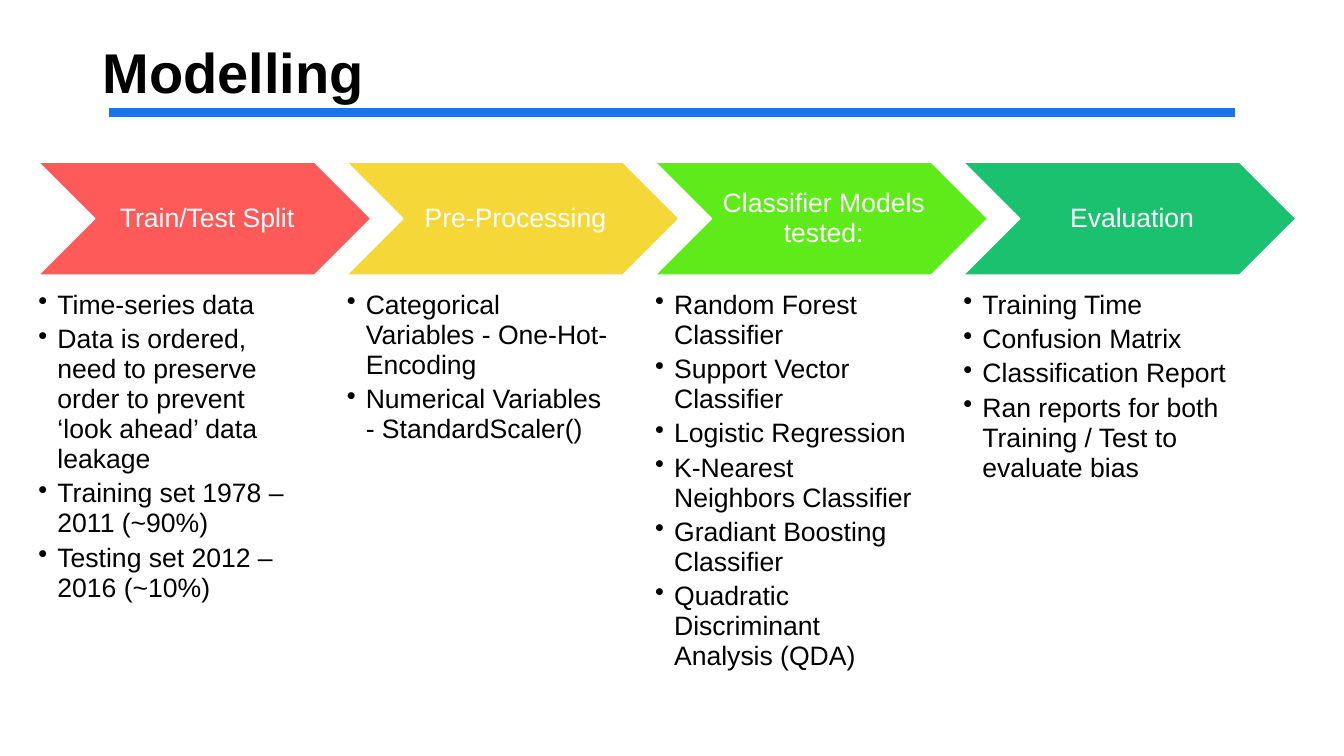
from pptx import Presentation
from pptx.dml.color import RGBColor
from pptx.enum import shapes, text
from pptx.oxml import parse_xml
from pptx.oxml.ns import nsdecls
from pptx.util import Cm, Pt

# Content
TITLE = "Modelling"
STEPS = [
    ("Train/Test Split", "red", [
        "Time-series data",
        "Data is ordered, need to preserve order to prevent ‘look ahead’ data leakage",
        "Training set 1978 – 2011 (~90%)",
        "Testing set 2012 – 2016 (~10%)",
    ]),
    ("Pre-Processing", "yellow", [
        "Categorical Variables - One-Hot-Encoding",
        "Numerical Variables - StandardScaler()",
    ]),
    ("Classifier Models tested:", "lime", [
        "Random Forest Classifier",
        "Support Vector Classifier",
        "Logistic Regression",
        "K-Nearest Neighbors Classifier",
        "Gradiant Boosting Classifier",
        "Quadratic Discriminant Analysis (QDA)",
    ]),
    ("Evaluation", "green", [
        "Training Time",
        "Confusion Matrix",
        "Classification Report",
        "Ran reports for both Training / Test to evaluate bias",
    ]),
]
COLORS = {
    "black": "000000", "white": "FFFFFF", "blue": "1973EB",
    "red": "FE5A5A", "yellow": "F6D738", "lime": "5FEB1A", "green": "1AC16E",
}

# Layout, in centimetres
LEFT, PITCH = 0.97, 7.77
STEP_TOP, STEP_W, STEP_H = 4.09, 8.38, 2.84
LIST_TOP, LIST_W, LIST_H = 7.32, 6.71, 9.3
INDENT = 0.48


def color(name):
    return RGBColor.from_string(COLORS[name])


def write(frame, lines, size=19, ink="black", bold=False, align="LEFT",
          anchor="TOP", inset=(0, 0, 0, 0), space=0.94, after=0, bullet=False):
    """Fill a text frame, one paragraph per line."""
    frame.word_wrap = True
    frame.auto_size = text.MSO_AUTO_SIZE.NONE
    frame.vertical_anchor = text.MSO_ANCHOR[anchor]
    (frame.margin_left, frame.margin_top,
     frame.margin_right, frame.margin_bottom) = [Cm(v) for v in inset]
    for i, line in enumerate(lines):
        para = frame.paragraphs[0] if i == 0 else frame.add_paragraph()
        para.alignment = text.PP_ALIGN[align]
        para.line_spacing = space
        para.space_before, para.space_after = Pt(0), Pt(after)
        run = para.add_run()
        run.text = line
        font = run.font
        font.name, font.size, font.bold = "Arial", Pt(size), bold
        font.color.rgb = color(ink)
        if bullet:
            props = para._p.get_or_add_pPr()
            props.set("marL", str(Cm(INDENT)))
            props.set("indent", str(-Cm(INDENT)))
            props.append(parse_xml(f'<a:buChar {nsdecls("a")} char="•"/>'))


def main():
    deck = Presentation()
    deck.slide_width, deck.slide_height = Cm(33.87), Cm(19.05)
    slide = deck.slides.add_slide(deck.slide_layouts[5])

    # Title
    title = slide.shapes.title
    title.left, title.top = Cm(2.34), Cm(0.66)
    title.width, title.height = Cm(28.78), Cm(3.18)
    write(title.text_frame, [TITLE], size=40, bold=True, space=1,
          inset=(0.25, 0.28, 0.25, 0.13))

    # Rule under the title
    rule = slide.shapes.add_connector(
        shapes.MSO_CONNECTOR.STRAIGHT, Cm(2.74), Cm(2.84), Cm(31.12), Cm(2.84))
    rule.line.color.rgb, rule.line.width = color("blue"), Pt(6)
    rule._element.spPr.append(parse_xml(f'<a:effectLst {nsdecls("a")}/>'))

    # Steps, each with its list below
    for i, (name, fill, points) in enumerate(STEPS):
        left = Cm(LEFT + i * PITCH)
        step = slide.shapes.add_shape(
            shapes.MSO_SHAPE.CHEVRON, left, Cm(STEP_TOP), Cm(STEP_W), Cm(STEP_H))
        step.shadow.inherit = False
        step.fill.solid()
        step.fill.fore_color.rgb = color(fill)
        step.line.color.rgb, step.line.width = color("white"), Pt(1)
        write(step.text_frame, [name], ink="white", align="CENTER",
              anchor="MIDDLE", inset=(0.2, 0.08, 0.08, 0.08))

        box = slide.shapes.add_textbox(left, Cm(LIST_TOP), Cm(LIST_W), Cm(LIST_H))
        write(box.text_frame, points, after=3, bullet=True)

    deck.save("out.pptx")


if __name__ == "__main__":
    main()
